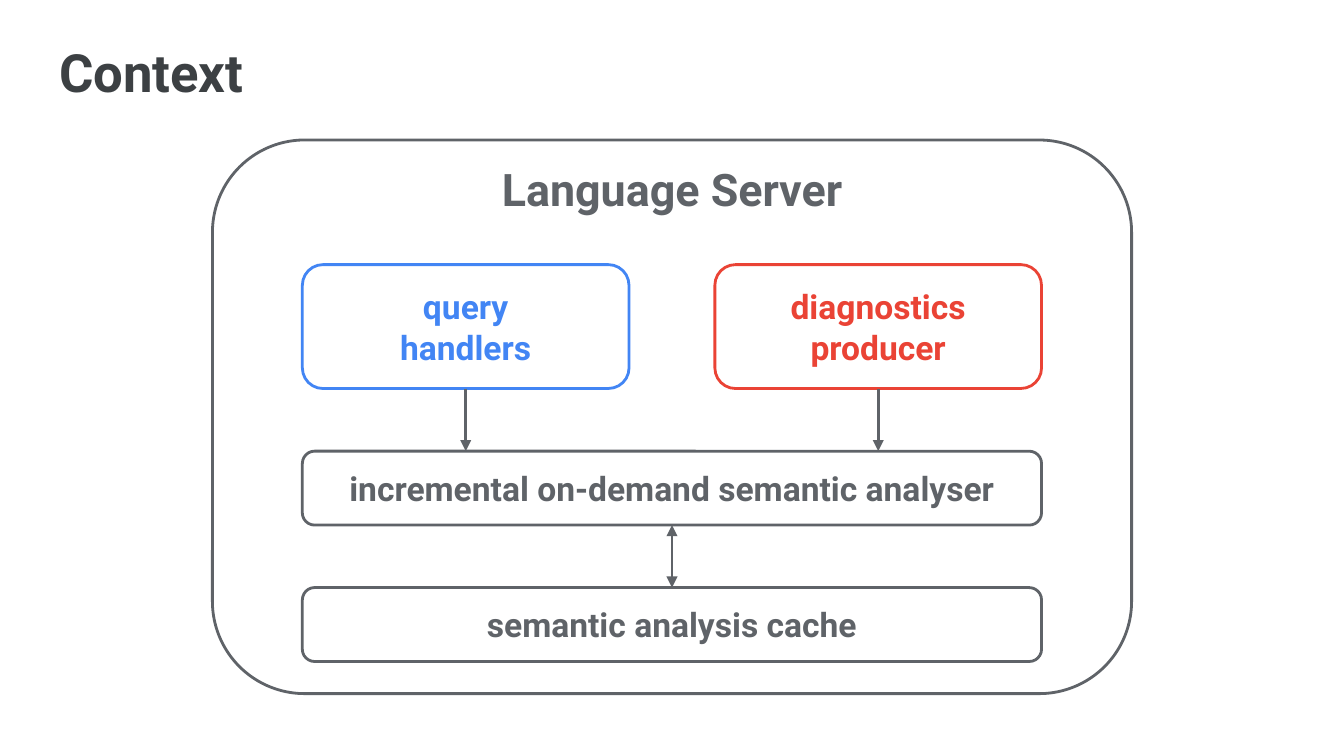
from dataclasses import dataclass

from lxml import etree
from pptx import Presentation
from pptx.dml.color import RGBColor
from pptx.enum import shapes, text
from pptx.oxml.ns import qn
from pptx.util import Pt

COLORS = {"title": "3C4043", "gray": "5F6368", "blue": "4285F4", "red": "EA4335"}
FONT = "Roboto"
INSET = 7.2
LINE_WIDTH = 1.5

LEFT, WIDTH = 162, 396
HALF_WIDTH = 175
RIGHT_LEFT = LEFT + WIDTH - HALF_WIDTH
COMPONENT_TOP, COMPONENT_HEIGHT = 141.8, 66.4
LAYER_HEIGHT, GAP = 39.6, 33.5
ANALYSER_TOP = COMPONENT_TOP + COMPONENT_HEIGHT + GAP
CACHE_TOP = ANALYSER_TOP + LAYER_HEIGHT + GAP


@dataclass(frozen=True)
class Box:
    left: float
    top: float
    width: float
    height: float
    color: str = "gray"
    lines: tuple[str, ...] = ()


@dataclass(frozen=True)
class Arrow:
    """A vertical arrow across the gap that starts at top."""
    x: float
    top: float
    both_ways: bool = False


SERVER = Box(113.8, 75, 492.4, 296.6)
HANDLERS = Box(LEFT, COMPONENT_TOP, HALF_WIDTH, COMPONENT_HEIGHT, "blue",
               ("query", "handlers"))
PRODUCER = Box(RIGHT_LEFT, COMPONENT_TOP, HALF_WIDTH, COMPONENT_HEIGHT, "red",
               ("diagnostics", "producer"))
ANALYSER = Box(LEFT, ANALYSER_TOP, WIDTH, LAYER_HEIGHT,
               lines=("incremental on-demand semantic analyser",))
CACHE = Box(LEFT, CACHE_TOP, WIDTH, LAYER_HEIGHT, lines=("semantic analysis cache",))
BOXES = (SERVER, HANDLERS, PRODUCER, ANALYSER, CACHE)

ARROWS = (
    Arrow(LEFT + HALF_WIDTH / 2, ANALYSER_TOP - GAP),
    Arrow(RIGHT_LEFT + HALF_WIDTH / 2, ANALYSER_TOP - GAP),
    Arrow(LEFT + WIDTH / 2, CACHE_TOP - GAP, both_ways=True),
)


def rgb(color: str) -> RGBColor:
    return RGBColor.from_string(COLORS[color])


def write(shape, lines: tuple[str, ...], size: float, color: str,
          alignment=text.PP_ALIGN.CENTER, anchor=text.MSO_ANCHOR.TOP) -> None:
    frame = shape.text_frame
    frame.word_wrap = True
    frame.auto_size = text.MSO_AUTO_SIZE.NONE
    frame.vertical_anchor = anchor
    frame.margin_left = frame.margin_right = Pt(INSET)
    frame.margin_top = frame.margin_bottom = Pt(INSET)
    paragraph = frame.paragraphs[0]
    paragraph.alignment = alignment
    paragraph.line_spacing = 1.0
    paragraph.space_before = Pt(0)
    for index, line in enumerate(lines):
        if index:
            paragraph.add_line_break()
        run = paragraph.add_run()
        run.text = line
        run.font.name = FONT
        run.font.size = Pt(size)
        run.font.bold = True
        run.font.color.rgb = rgb(color)


def draw_box(slide, box: Box) -> None:
    shape = slide.shapes.add_shape(
        shapes.MSO_SHAPE.ROUNDED_RECTANGLE,
        Pt(box.left), Pt(box.top), Pt(box.width), Pt(box.height))
    shape.shadow.inherit = False
    shape.fill.background()
    shape.line.color.rgb = rgb(box.color)
    shape.line.width = Pt(LINE_WIDTH)
    if box.lines:
        write(shape, box.lines, 18, box.color, anchor=text.MSO_ANCHOR.MIDDLE)


def draw_arrow(slide, arrow: Arrow) -> None:
    connector = slide.shapes.add_connector(
        shapes.MSO_CONNECTOR.STRAIGHT,
        Pt(arrow.x), Pt(arrow.top), Pt(arrow.x), Pt(arrow.top + GAP))
    connector.line.color.rgb = rgb("gray")
    connector.line.width = Pt(LINE_WIDTH)
    outline = connector.line._get_or_add_ln()
    for end in ("a:headEnd", "a:tailEnd") if arrow.both_ways else ("a:tailEnd",):
        etree.SubElement(outline, qn(end), type="triangle")
    etree.SubElement(connector._element.spPr, qn("a:effectLst"))


def main() -> None:
    presentation = Presentation()
    presentation.slide_width, presentation.slide_height = Pt(720), Pt(405)
    slide = presentation.slides.add_slide(presentation.slide_layouts[5])

    title = slide.shapes.title
    title.left, title.top, title.width, title.height = Pt(24.5), Pt(14.4), Pt(671), Pt(45.4)
    write(title, ("Context",), 28.2, "title", alignment=text.PP_ALIGN.LEFT)

    for box in BOXES:
        draw_box(slide, box)
    for arrow in ARROWS:
        draw_arrow(slide, arrow)

    heading = slide.shapes.add_textbox(Pt(238.3), Pt(79.2), Pt(243.4), Pt(43.9))
    write(heading, ("Language Server",), 24, "gray")

    presentation.save("out.pptx")


if __name__ == "__main__":
    main()
